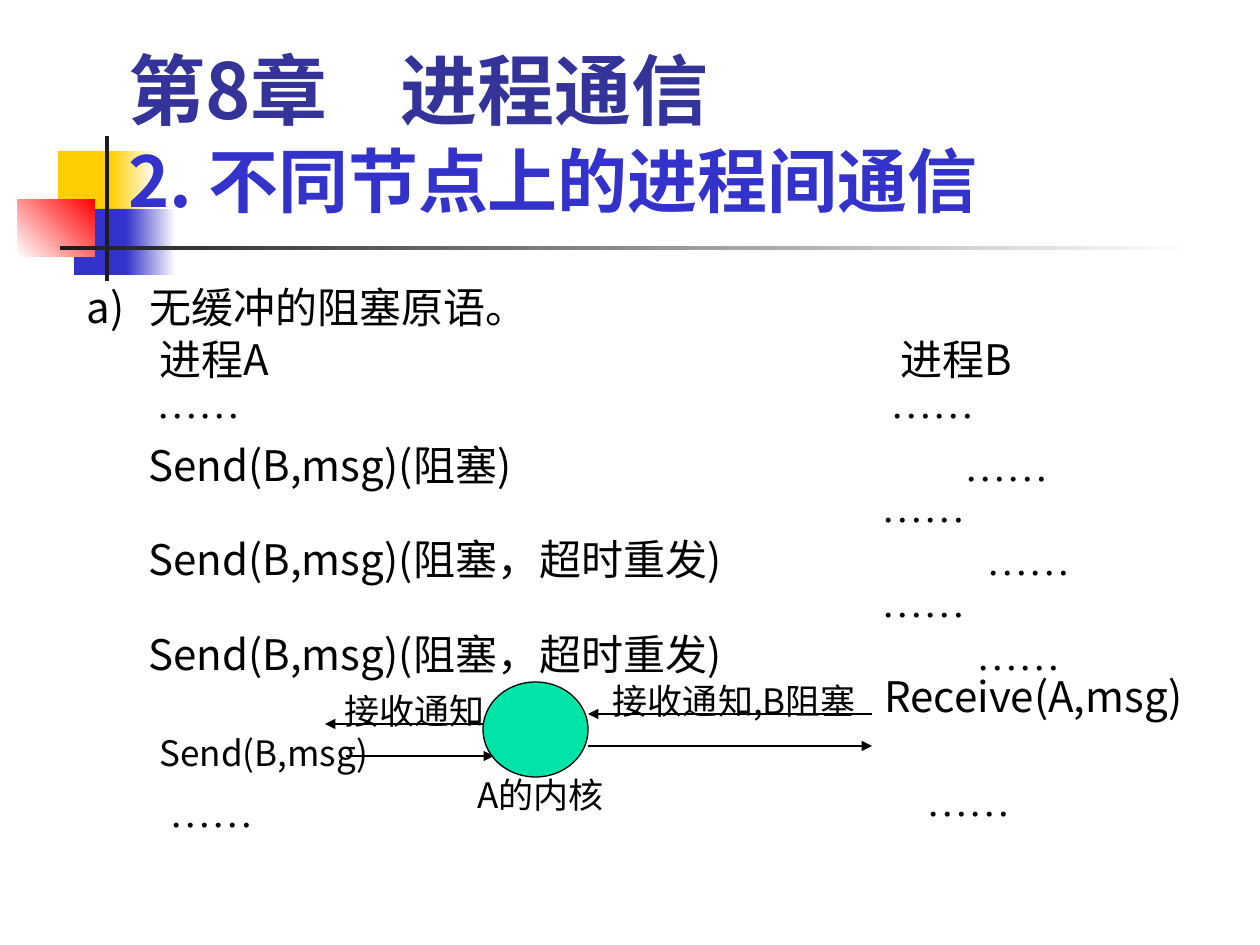
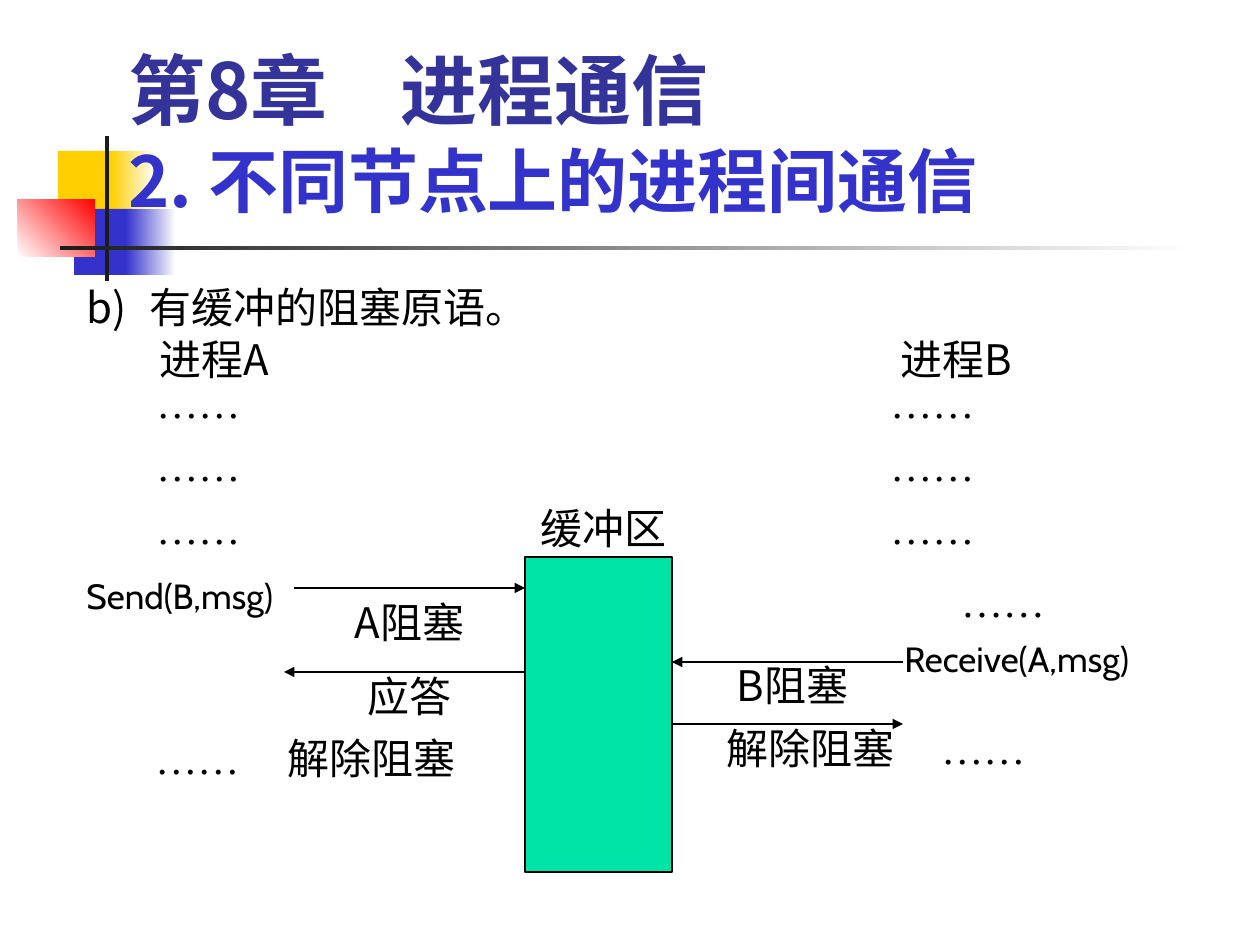
"""Build two slides on blocking message primitives between processes."""
import lxml.etree
import pptx
import pptx.dml.color
import pptx.enum.shapes
import pptx.enum.text
import pptx.oxml.ns
import pptx.util

RGB = pptx.dml.color.RGBColor
BLACK = RGB(0x00, 0x00, 0x00)
WHITE = RGB(0xFF, 0xFF, 0xFF)
YELLOW = RGB(0xFF, 0xCF, 0x01)
BLUE = RGB(0x33, 0x33, 0xCC)
RED = RGB(0xFF, 0x00, 0x00)
CHARCOAL = RGB(0x1C, 0x1C, 0x1C)
INDIGO = RGB(0x33, 0x33, 0x99)
GREEN = RGB(0x00, 0xE4, 0xA8)

PIXELS_PER_INCH = 126
LINE_HEIGHT = 1.25
SANS, TITLE_FONT = "Noto Sans CJK JP", "Noto Sans CJK SC"
CABIN, TIMES = "Cabin", "Times New Roman"
DOTS = "……"

SHAPES = pptx.enum.shapes.MSO_SHAPE
LEFT = pptx.enum.text.PP_ALIGN.LEFT
CENTER = pptx.enum.text.PP_ALIGN.CENTER

# Each band: box, start colour, end colour, gradient angle
BANDS = [
    ((58, 151, 60, 66), YELLOW, None, 0),
    ((111, 151, 45, 66), YELLOW, WHITE, 0),
    ((74, 209, 58, 66), BLUE, None, 0),
    ((126, 209, 50, 66), BLUE, WHITE, 0),
    ((18, 199, 77, 58), WHITE, RED, 45),
    ((105, 136, 4, 145), CHARCOAL, None, 0),
    ((60, 246, 1134, 4), CHARCOAL, WHITE, 0),
]
TITLE_BOX = (116, 32, 1113, 189)
TITLE_LINES = [
    ("第8章\t进程通信", 44, TITLE_FONT, INDIGO, 272),
    ("2. 不同节点上的进程间通信", 40, SANS, BLUE, None),
]
HEADING_BOX = (74, 273, 1155, 63)
DOTS_ROW = f"{DOTS}\t{DOTS}"

# Each label: text, left, top, width, then size, font, alignment and tab
SHARED_LABELS = [
    ("进程A\t进程B", 147, 325, 935, dict(tab=741)),
    (DOTS_ROW, 144, 368, 940, dict(font=TIMES, tab=734)),
]
SLIDES = [
    dict(
        heading="无缓冲的阻塞原语。",
        node=(SHAPES.OVAL, 483, 682, 105, 95),
        labels=[
            (f"Send(B,msg)(阻塞)\t{DOTS}", 136, 431, 1029, dict(tab=816)),
            (DOTS, 869, 472, 210, dict(font=TIMES)),
            (f"Send(B,msg)(阻塞，超时重发)\t{DOTS}", 136, 525, 1029, dict(tab=838)),
            (DOTS, 869, 567, 210, dict(font=TIMES)),
            (f"Send(B,msg)(阻塞，超时重发)\t{DOTS}", 136, 620, 1029, dict(tab=828)),
            ("A的内核", 451, 766, 179, dict(size=20, align=CENTER)),
            ("Receive(A,msg)", 872, 662, 368, {}),
            ("接收通知,B阻塞", 577, 672, 315, dict(size=20, align=CENTER)),
            ("接收通知", 325, 682, 179, dict(size=20, align=CENTER)),
            ("Send(B,msg)", 147, 724, 262, dict(size=20)),
            (DOTS, 157, 777, 210, dict(font=TIMES)),
            (DOTS, 914, 766, 210, dict(font=TIMES)),
        ],
        arrows=[(872, 588, 714), (483, 325, 724), (346, 494, 756), (588, 872, 746)],
    ),
    dict(
        heading="有缓冲的阻塞原语。",
        node=(SHAPES.RECTANGLE, 525, 557, 147, 315),
        labels=[
            ("缓冲区", 514, 494, 179, dict(font=CABIN, align=CENTER)),
            (DOTS_ROW, 144, 431, 940, dict(font=TIMES, tab=734)),
            (DOTS_ROW, 144, 494, 940, dict(font=TIMES, tab=734)),
            ("Send(B,msg)", 74, 567, 220, dict(size=20, font=CABIN)),
            ("A阻塞", 294, 588, 231, dict(align=CENTER)),
            (DOTS, 924, 567, 158, dict(font=TIMES, align=CENTER)),
            ("Receive(A,msg)", 892, 630, 305, dict(size=20, font=CABIN)),
            ("B阻塞", 682, 651, 221, dict(align=CENTER)),
            ("应答", 315, 662, 189, dict(font=CABIN, align=CENTER)),
            (f"{DOTS}\t解除阻塞", 143, 724, 361, dict(font=CABIN, tab=132)),
            (f"解除阻塞\t{DOTS}", 714, 714, 410, dict(font=CABIN, tab=215)),
        ],
        arrows=[(294, 525, 588), (903, 672, 662), (525, 284, 672), (672, 903, 724)],
    ),
]


def px(length):
    return pptx.util.Emu(round(length * 914400 / PIXELS_PER_INCH))


def add_element(parent, tag, **attributes):
    element = lxml.etree.SubElement(parent, pptx.oxml.ns.qn(tag))
    for name, value in attributes.items():
        element.set(name, str(value))
    return element


def set_typeface(font, properties, name):
    font.name = name
    add_element(properties, "a:ea", typeface=name)


def fill_paragraph(paragraph, text, size, name, color=BLACK, bold=False,
                   align=LEFT, tab=None, number=None):
    properties = paragraph._p.get_or_add_pPr()
    paragraph.alignment = align
    paragraph.line_spacing = pptx.util.Pt(size * LINE_HEIGHT)
    if number:
        properties.set("marL", str(px(63)))
        properties.set("indent", str(-px(63)))
        add_element(properties, "a:buAutoNum", type="alphaLcParenR", startAt=number)
    if tab:
        tabs = add_element(properties, "a:tabLst")
        add_element(tabs, "a:tab", pos=px(tab), algn="l")
    font = paragraph.font
    font.size = pptx.util.Pt(size)
    font.bold = bold
    font.color.rgb = color
    set_typeface(font, properties.find(pptx.oxml.ns.qn("a:defRPr")), name)
    for index, cell in enumerate(text.split("\t")):
        run = paragraph.add_run()
        run.text = "\t" + cell if index else cell
        if cell == DOTS and name != TIMES:
            set_typeface(run.font, run._r.get_or_add_rPr(), TIMES)


def add_text_frame(slide, box):
    frame = slide.shapes.add_textbox(*map(px, box)).text_frame
    frame.word_wrap = True
    return frame


def add_label(slide, text, left, top, width, style):
    size = style.get("size", 24)
    frame = add_text_frame(slide, (left, top, width, 63 if size == 24 else 55))
    fill_paragraph(frame.paragraphs[0], text, size, style.get("font", SANS),
                   align=style.get("align", LEFT), tab=style.get("tab"))


def add_plain_shape(slide, kind, box):
    shape = slide.shapes.add_shape(kind, *map(px, box))
    shape.shadow.inherit = False
    return shape


def add_bands(slide):
    for box, start, end, angle in BANDS:
        band = add_plain_shape(slide, SHAPES.RECTANGLE, box)
        band.line.fill.background()
        if end is None:
            band.fill.solid()
            band.fill.fore_color.rgb = start
            continue
        band.fill.gradient()
        band.fill.gradient_angle = angle
        for stop, color in zip(band.fill.gradient_stops, (start, end)):
            stop.color.rgb = color


def add_title(slide):
    frame = add_text_frame(slide, TITLE_BOX)
    for index, (text, size, name, color, tab) in enumerate(TITLE_LINES):
        paragraph = frame.add_paragraph() if index else frame.paragraphs[0]
        fill_paragraph(paragraph, text, size, name, color, bold=True, tab=tab)


def add_node(slide, kind, *box):
    node = add_plain_shape(slide, kind, box)
    node.fill.solid()
    node.fill.fore_color.rgb = GREEN
    node.line.color.rgb = BLACK
    node.line.width = pptx.util.Pt(0.75)


def add_arrow(slide, start, end, height):
    arrow = slide.shapes.add_connector(
        pptx.enum.shapes.MSO_CONNECTOR.STRAIGHT, *map(px, (start, height, end, height)))
    arrow.line.color.rgb = BLACK
    arrow.line.width = pptx.util.Pt(0.75)
    add_element(arrow.line._get_or_add_ln(), "a:tailEnd", type="triangle")
    add_element(arrow._element.spPr, "a:effectLst")


def main():
    presentation = pptx.Presentation()
    presentation.slide_width = px(1260)
    presentation.slide_height = px(945)
    for number, content in enumerate(SLIDES, start=1):
        slide = presentation.slides.add_slide(presentation.slide_layouts[6])
        add_bands(slide)
        add_title(slide)
        heading = add_text_frame(slide, HEADING_BOX).paragraphs[0]
        fill_paragraph(heading, content["heading"], 24, SANS, number=number)
        add_node(slide, *content["node"])
        for label in SHARED_LABELS + content["labels"]:
            add_label(slide, *label)
        for arrow in content["arrows"]:
            add_arrow(slide, *arrow)
    presentation.save("out.pptx")


if __name__ == "__main__":
    main()
